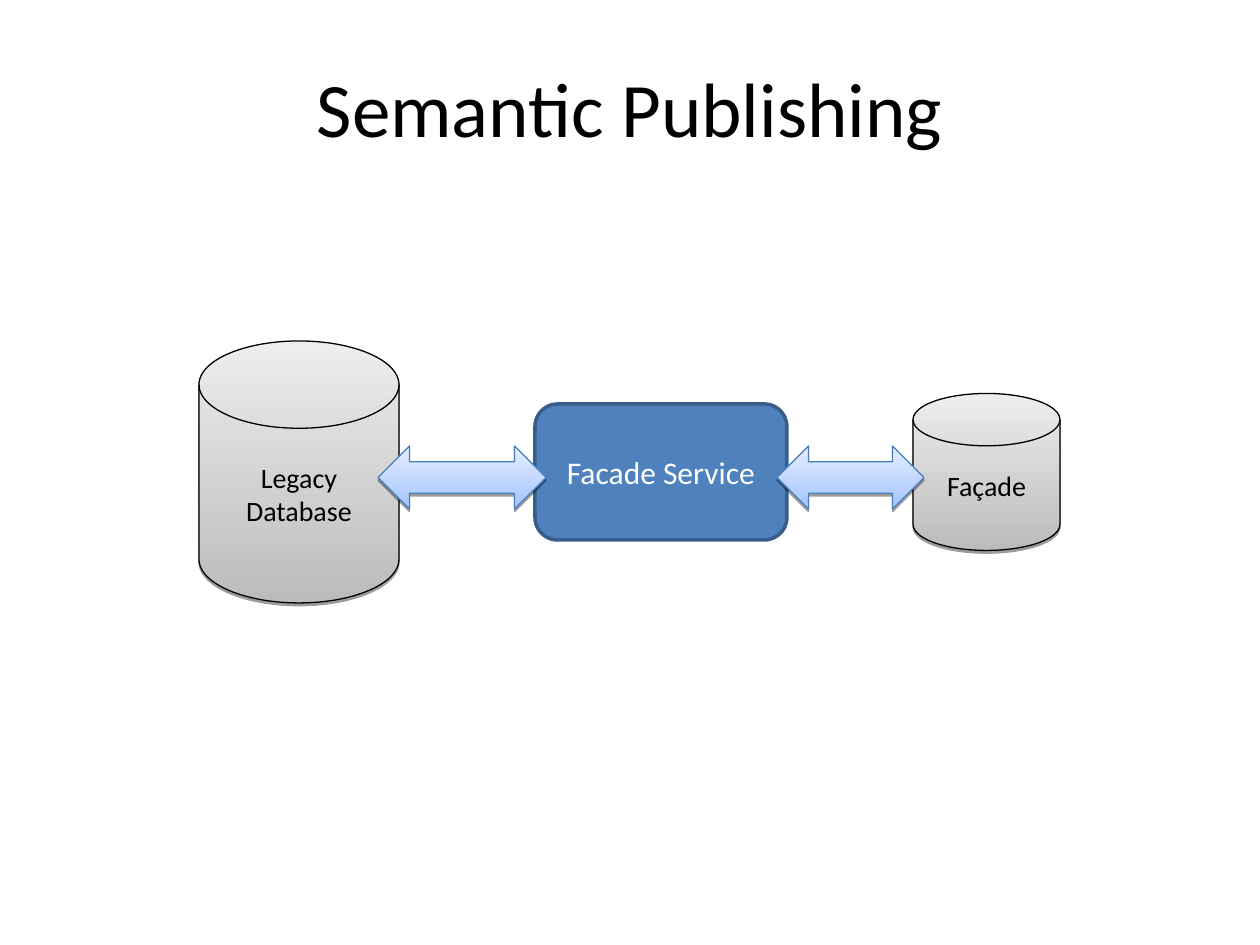
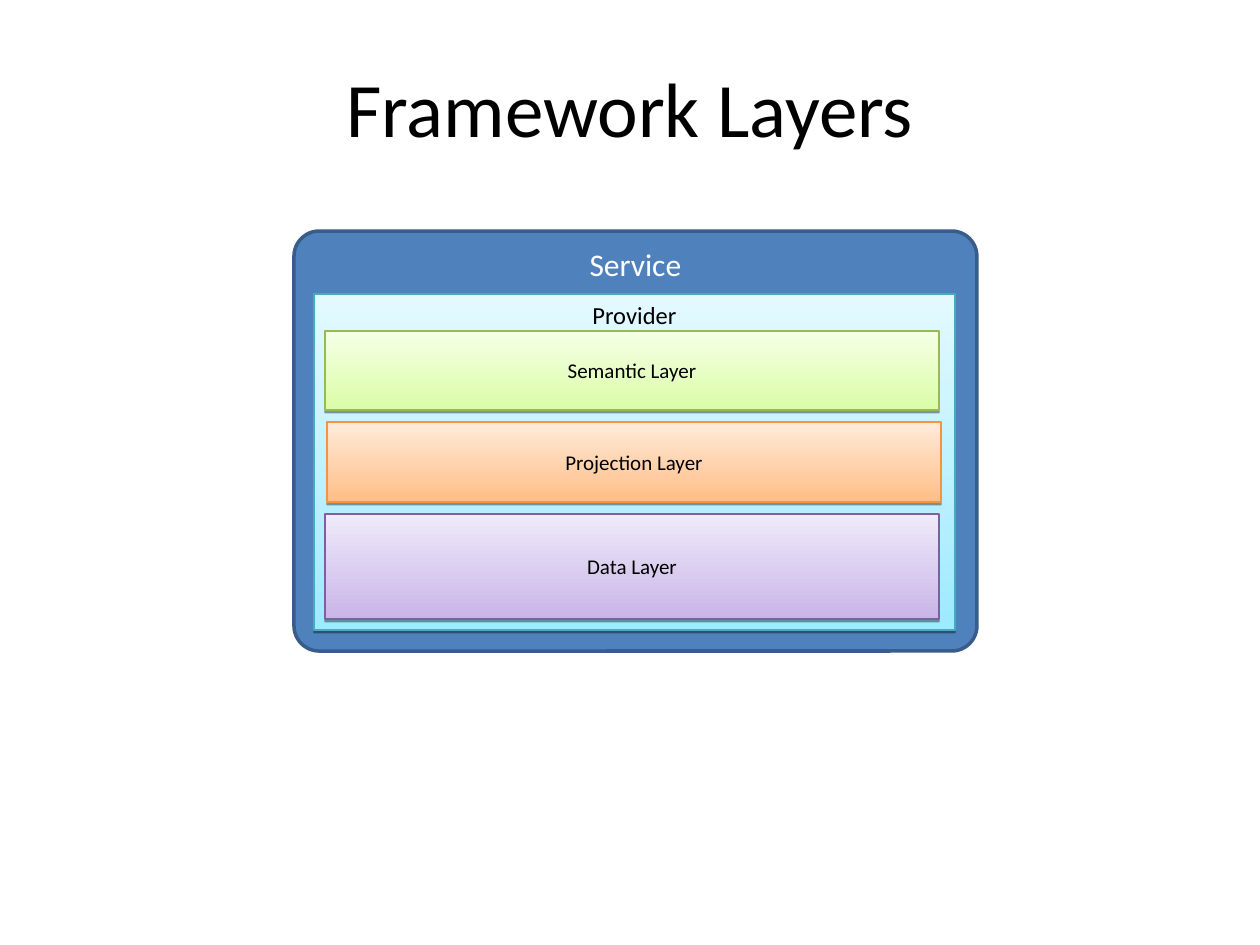
from dataclasses import dataclass
from itertools import pairwise

from lxml.etree import SubElement
from pptx import Presentation
from pptx.dml.color import RGBColor
from pptx.enum.shapes import MSO_SHAPE
from pptx.enum.text import MSO_ANCHOR, MSO_AUTO_SIZE, PP_ALIGN
from pptx.oxml.ns import qn
from pptx.util import Emu, Pt


@dataclass(frozen=True)
class Paint:
    fill: tuple
    line: str
    weight: float = 0.75
    text: str = "000000"


@dataclass(frozen=True)
class Theme:
    font: str = "Calibri"
    ink: str = "000000"
    title_size: int = 44
    service_size: int = 18
    store_size: int = 16
    provider_size: int = 14
    layer_size: int = 12
    service: Paint = Paint(("4F81BD",), "385D8A", 2, "FFFFFF")
    store: Paint = Paint(("BCBCBC", "EDEDED"), "000000")
    arrow: Paint = Paint(("A3C4FF", "E5EEFF"), "4A7EBB")
    provider: Paint = Paint(("9EEAFF", "E4F9FF"), "46AAC5")
    semantic: Paint = Paint(("DAFDA7", "F5FFE6"), "98B954")
    projection: Paint = Paint(("FFBE86", "FFEBDB"), "F69240")
    data: Paint = Paint(("C9B5E8", "F0EAF9"), "7D60A0")


THEME = Theme()
PX = 914400 / 126
SLIDE_SIZE = (1260, 945)
TITLE_BOX = (21, 54, 1218, 106)

PUBLISHING_TITLE = "Semantic Publishing"
FLOW_MIDDLE = 472
FLOW = [
    ("Legacy Database", MSO_SHAPE.FLOWCHART_MAGNETIC_DISK, 199, 200, 262, THEME.store, THEME.store_size),
    ("Facade Service", MSO_SHAPE.ROUNDED_RECTANGLE, 535, 252, 136, THEME.service, THEME.service_size),
    ("Façade", MSO_SHAPE.FLOWCHART_MAGNETIC_DISK, 913, 147, 157, THEME.store, THEME.store_size),
]
ARROW_OVERLAPS = [(21, 11), (10, 11)]
ARROW_TOP, ARROW_HEIGHT = 446, 63

LAYERS_TITLE = "Framework Layers"
FRAMES = [
    ("Service", MSO_SHAPE.ROUNDED_RECTANGLE, (294, 231, 683, 420), THEME.service, THEME.service_size),
    ("Provider", MSO_SHAPE.RECTANGLE, (314, 294, 641, 336), THEME.provider, THEME.provider_size),
]
SERVICE_CORNER = 0.06
LAYERS = [
    ("Semantic Layer", 325, 79, THEME.semantic),
    ("Projection Layer", 327, 80, THEME.projection),
    ("Data Layer", 325, 105, THEME.data),
]
LAYERS_TOP, LAYER_WIDTH, LAYER_GAP = 331, 614, 12


def emu(*lengths):
    return [Emu(round(length * PX)) for length in lengths]


def write(frame, text, size, color, anchor):
    frame.word_wrap = True
    frame.vertical_anchor = anchor
    paragraph = frame.paragraphs[0]
    paragraph.text = text
    paragraph.alignment = PP_ALIGN.CENTER
    paragraph.font.name = THEME.font
    paragraph.font.size = Pt(size)
    paragraph.font.color.rgb = RGBColor.from_string(color)


def cast_shadow(shape):
    effects = shape._element.spPr.find(qn("a:effectLst"))
    shadow = SubElement(effects, qn("a:outerShdw"), dist="20000", dir="5400000", rotWithShape="0")
    color = SubElement(shadow, qn("a:srgbClr"), val="000000")
    SubElement(color, qn("a:alpha"), val="38000")


def add_part(slide, kind, box, paint, text="", size=12, anchor=MSO_ANCHOR.MIDDLE):
    part = slide.shapes.add_shape(kind, *emu(*box))
    colors = [RGBColor.from_string(color) for color in paint.fill]
    part.shadow.inherit = False
    part.line.color.rgb = RGBColor.from_string(paint.line)
    part.line.width = Pt(paint.weight)
    if len(colors) == 1:
        part.fill.solid()
        part.fill.fore_color.rgb = colors[0]
    else:
        part.fill.gradient()
        part.fill.gradient_angle = 90
        for stop, color in zip(part.fill.gradient_stops, colors):
            stop.color.rgb = color
        cast_shadow(part)
    if text:
        write(part.text_frame, text, size, paint.text, anchor)
    return part


def add_titled_slide(deck, title):
    slide = deck.slides.add_slide(deck.slide_layouts[6])
    heading = slide.shapes.add_textbox(*emu(*TITLE_BOX)).text_frame
    write(heading, title, THEME.title_size, THEME.ink, MSO_ANCHOR.TOP)
    heading.auto_size = MSO_AUTO_SIZE.SHAPE_TO_FIT_TEXT
    return slide


def build_publishing(deck):
    slide = add_titled_slide(deck, PUBLISHING_TITLE)
    for label, kind, left, width, height, paint, size in FLOW:
        box = (left, FLOW_MIDDLE - height / 2, width, height)
        add_part(slide, kind, box, paint, label, size)
    spans = [(left, left + width) for _, _, left, width, *_ in FLOW]
    for (before, after), (into_left, into_right) in zip(pairwise(spans), ARROW_OVERLAPS):
        start, end = before[1] - into_left, after[0] + into_right
        box = (start, ARROW_TOP, end - start, ARROW_HEIGHT)
        add_part(slide, MSO_SHAPE.LEFT_RIGHT_ARROW, box, THEME.arrow)


def build_layers(deck):
    slide = add_titled_slide(deck, LAYERS_TITLE)
    service, _ = [
        add_part(slide, kind, box, paint, label, size, MSO_ANCHOR.TOP)
        for label, kind, box, paint, size in FRAMES
    ]
    service.adjustments[0] = SERVICE_CORNER
    top = LAYERS_TOP
    for label, left, height, paint in LAYERS:
        box = (left, top, LAYER_WIDTH, height)
        add_part(slide, MSO_SHAPE.RECTANGLE, box, paint, label, THEME.layer_size)
        top += height + LAYER_GAP


def main():
    deck = Presentation()
    deck.slide_width, deck.slide_height = emu(*SLIDE_SIZE)
    build_publishing(deck)
    build_layers(deck)
    deck.save("out.pptx")


if __name__ == "__main__":
    main()
